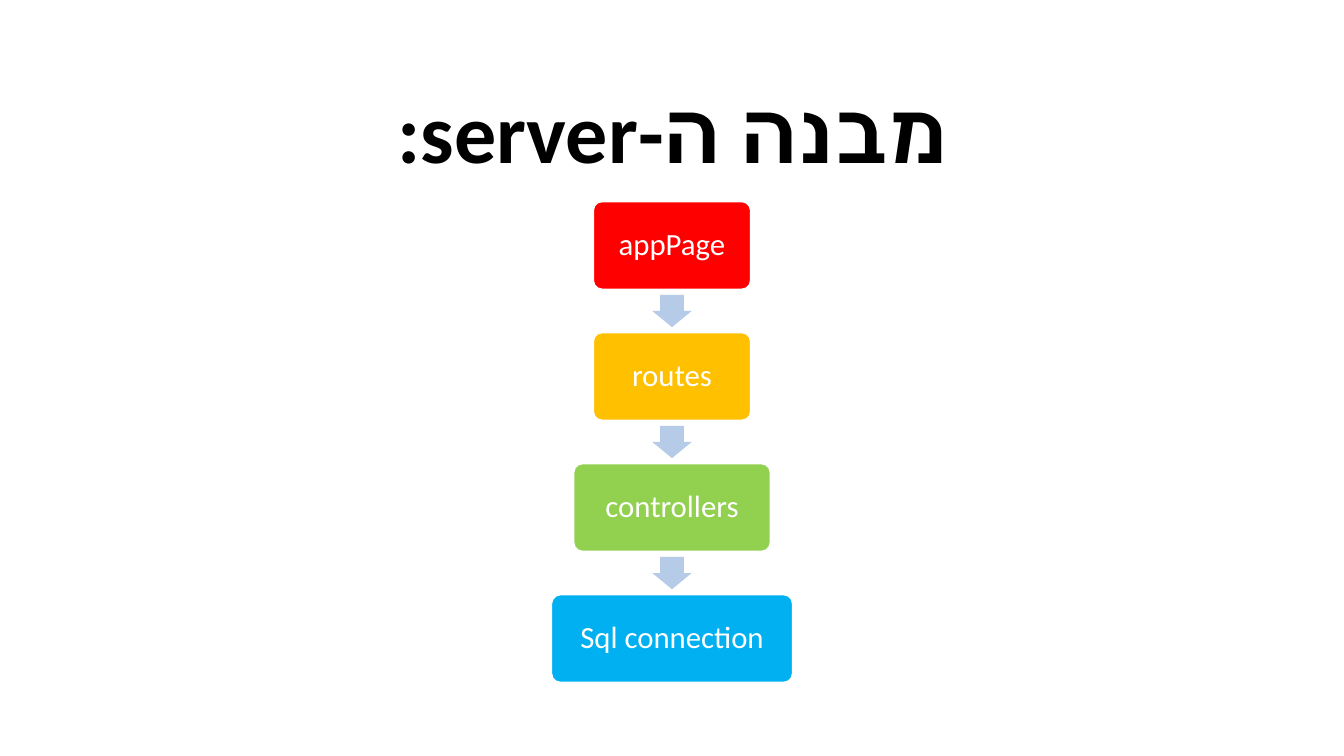
from dataclasses import dataclass

from lxml.etree import SubElement
from pptx import Presentation
from pptx.dml.color import RGBColor
from pptx.enum.shapes import MSO_SHAPE as Shape
from pptx.enum.text import MSO_ANCHOR as Anchor, PP_ALIGN as Align
from pptx.oxml.ns import qn
from pptx.util import Inches, Pt

COLORS = {
    "black": "000000", "white": "FFFFFF", "red": "FF0000", "amber": "FFC000",
    "green": "92D050", "blue": "00B0F0", "arrow": "B5CBE7",
}
FONT = "Calibri"

# Vertical flow: one row per server layer, centred on the slide
SLIDE_W, SLIDE_H = 13.33, 7.5
MIDDLE = SLIDE_W / 2
TOP, PITCH, BOX_H = 2.0, 1.3, 0.87
ARROW_LENGTH, ARROW_SPAN = 0.32, 0.39


@dataclass
class Layer:
    name: str
    color: str
    width: float


LAYERS = [
    Layer("appPage", "red", 1.56),
    Layer("routes", "amber", 1.56),
    Layer("controllers", "green", 1.95),
    Layer("Sql connection", "blue", 2.39),
]


def rgb(name: str) -> RGBColor:
    return RGBColor.from_string(COLORS[name])


def set_text(sp, text: str, *, size: float, color: str, bold: bool = False,
             anchor=Anchor.MIDDLE, inset: float = 0.09) -> None:
    """Write one centred right-to-left paragraph."""
    tf = sp.text_frame
    tf.word_wrap = True
    tf.vertical_anchor = anchor
    tf.margin_left = tf.margin_right = Inches(inset)
    tf.margin_top = tf.margin_bottom = Inches(inset)
    p = tf.paragraphs[0]
    p.alignment, p.line_spacing = Align.CENTER, 0.9
    p._p.get_or_add_pPr().set("rtl", "1")
    r = p.add_run()
    r.text = text
    r.font.name, r.font.size, r.font.bold = FONT, Pt(size), bold
    r.font.color.rgb = rgb(color)
    # Hebrew letters take the complex-script font
    SubElement(r._r.get_or_add_rPr(), qn("a:cs")).set("typeface", FONT)


def add_centred(s, kind, y: float, width: float, height: float, color: str):
    """Add a filled shape centred on the slide's middle at height y."""
    sp = s.shapes.add_shape(kind, Inches(MIDDLE - width / 2), Inches(y - height / 2),
                            Inches(width), Inches(height))
    sp.shadow.inherit = False
    sp.fill.solid()
    sp.fill.fore_color.rgb = rgb(color)
    return sp


def add_layer(s, layer: Layer, y: float) -> None:
    sp = add_centred(s, Shape.ROUNDED_RECTANGLE, y, layer.width, BOX_H, layer.color)
    sp.adjustments[0] = 0.1
    sp.line.color.rgb, sp.line.width = rgb("white"), Pt(1)
    set_text(sp, layer.name, size=22, color="white")


def add_arrow(s, y: float) -> None:
    sp = add_centred(s, Shape.RIGHT_ARROW, y, ARROW_LENGTH, ARROW_SPAN, "arrow")
    sp.adjustments[0], sp.adjustments[1] = 0.6, 0.5
    sp.rotation = 90
    sp.line.fill.background()


prs = Presentation()
prs.slide_width, prs.slide_height = Inches(SLIDE_W), Inches(SLIDE_H)
s = prs.slides.add_slide(prs.slide_layouts.get_by_name("Title Only"))

# Title
title = s.shapes.title
title.left, title.top = Inches(0.92), Inches(0.4)
title.width, title.height = Inches(11.5), Inches(1.45)
set_text(title, "מבנה ה-server:", size=60, color="black", bold=True,
         anchor=Anchor.BOTTOM, inset=0.05)

# Layers, with an arrow between each pair
for row, layer in enumerate(LAYERS):
    y = TOP + BOX_H / 2 + row * PITCH
    if row:
        add_arrow(s, y - PITCH / 2)
    add_layer(s, layer, y)

prs.save("out.pptx")
